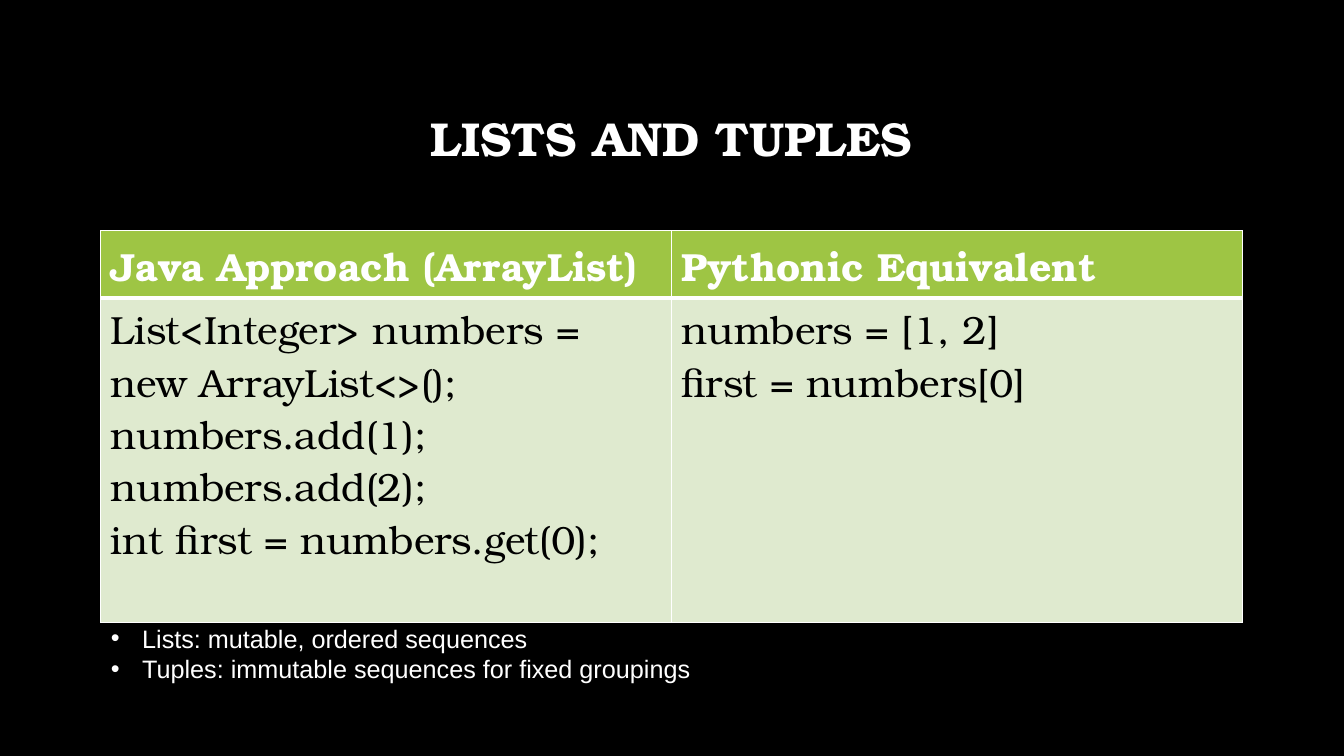
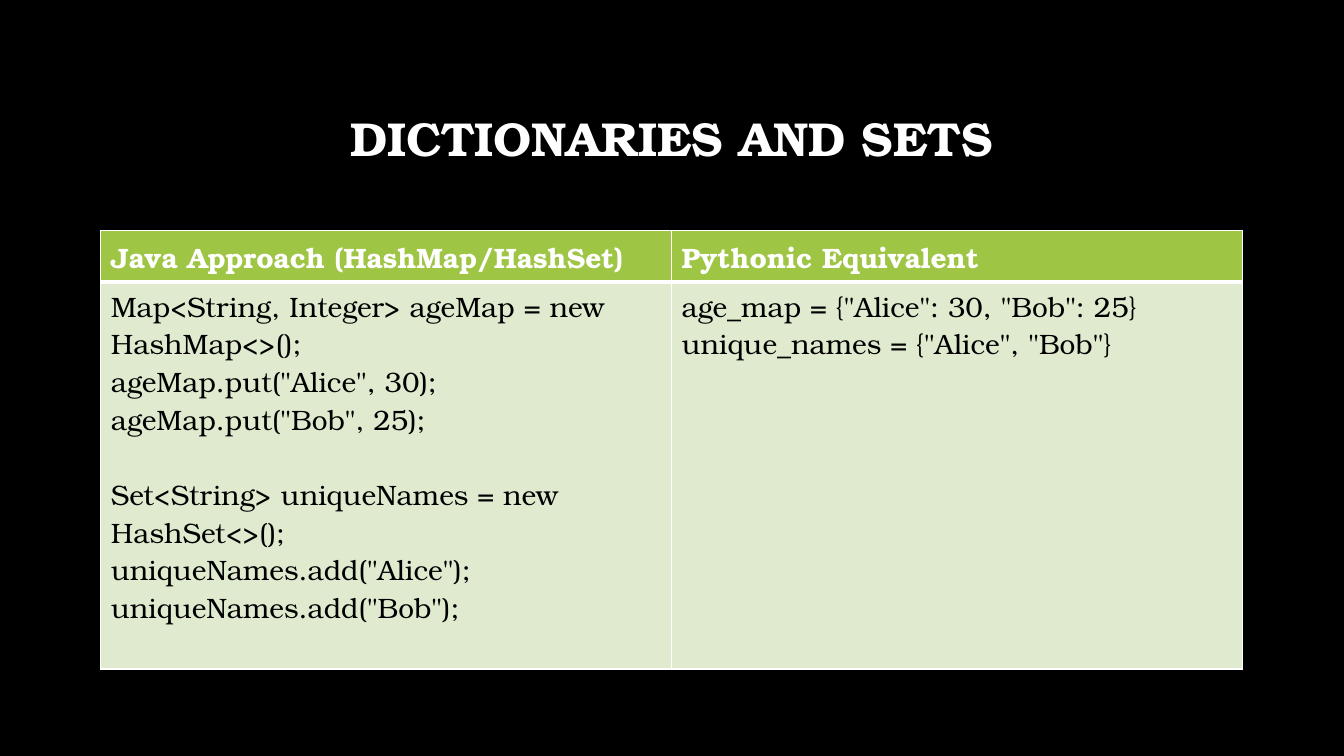
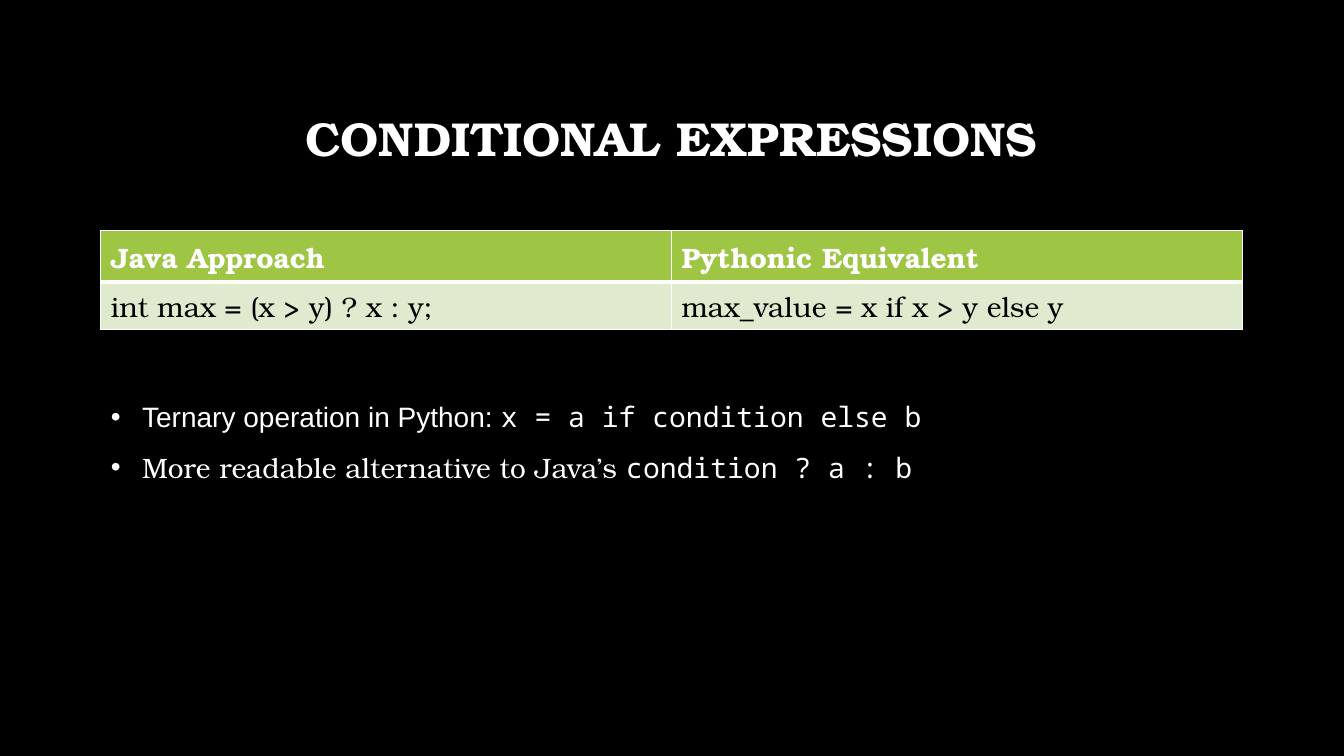
from dataclasses import dataclass

from lxml import etree
from pptx import Presentation
from pptx.dml.color import RGBColor
from pptx.enum.text import MSO_ANCHOR, MSO_AUTO_SIZE, PP_ALIGN
from pptx.oxml.ns import qn
from pptx.util import Inches, Pt

CENTER = PP_ALIGN.CENTER
MIDDLE, TOP = MSO_ANCHOR.MIDDLE, MSO_ANCHOR.TOP
NO_FIT = MSO_AUTO_SIZE.NONE
TITLE_AND_BODY, TITLE_ONLY = 1, 5


@dataclass(frozen=True)
class Theme:
    background: str = "000000"
    light: str = "FFFFFF"
    dark: str = "000000"
    header_fill: str = "9EC544"
    body_fill: str = "DFEACF"
    serif: str = "TeX Gyre Bonum"
    sans: str = "Arial"
    mono: str = "Noto Sans Mono"
    title_size: int = 34
    thin: int = 1
    thick: int = 3


THEME = Theme()

# Shared layout, in inches
LEFT, WIDTH = 1, 11.32
TITLE_BOX = (LEFT, 0.67, WIDTH, 1.45)
TABLE_TOP = 2.29
BULLET_INDENT = 0.31

# Content: a line in "lines" is one paragraph, \v breaks a line within it;
# "gap_before" is the index of the left paragraph that starts a new group
SLIDES = [
    {
        "title": "LISTS AND TUPLES",
        "headers": ["Java Approach (ArrayList)", "Pythonic Equivalent"],
        "lines": [
            ["List<Integer> numbers =\vnew ArrayList<>();", "numbers.add(1);",
             "numbers.add(2);", "int first = numbers.get(0);"],
            ["numbers = [1, 2]", "first = numbers[0]"],
        ],
        "code_size": 28,
        "row_heights": (0.66, 3.22),
        "notes": {
            "box": (LEFT, 6.13, 6.67, 0.71),
            "size": 18,
            "line_spacing": 1.0,
            "bullets": [
                [("Lists: mutable, ordered sequences", THEME.sans)],
                [("Tuples: immutable sequences for fixed groupings", THEME.sans)],
            ],
        },
    },
    {
        "title": "DICTIONARIES AND SETS",
        "headers": ["Java Approach (HashMap/HashSet)", "Pythonic Equivalent"],
        "lines": [
            ["Map<String, Integer> ageMap = new HashMap<>();",
             'ageMap.put("Alice", 30);', 'ageMap.put("Bob", 25);',
             "Set<String> uniqueNames = new HashSet<>();",
             'uniqueNames.add("Alice");', 'uniqueNames.add("Bob");'],
            ['age_map = {"Alice": 30, "Bob": 25}',
             'unique_names = {"Alice", "Bob"}'],
        ],
        "gap_before": 3,
        "code_size": 20,
        "row_heights": (0.5, 3.84),
    },
    {
        "title": "CONDITIONAL EXPRESSIONS",
        "headers": ["Java Approach", "Pythonic Equivalent"],
        "lines": [["int max = (x > y) ? x : y;"],
                  ["max_value = x if x > y else y"]],
        "code_size": 20,
        "row_heights": (0.5, 0.47),
        "notes": {
            "box": (LEFT, 3.75, 9.19, 1.05),
            "size": 20,
            "line_spacing": 1.5,
            "bullets": [
                [("Ternary operation in Python: ", THEME.sans),
                 ("x = a if condition else b", THEME.mono)],
                [("More readable alternative to Java’s ", THEME.serif),
                 ("condition ? a : b", THEME.mono)],
            ],
        },
    },
]


def apply(target, **values):
    for name, value in values.items():
        setattr(target, name, value)


def place(shape, box):
    apply(shape, **dict(zip(("left", "top", "width", "height"), map(Inches, box))))


def style_font(font, face, size, color, bold=False):
    apply(font, name=face, size=Pt(size), bold=bold)
    font.color.rgb = RGBColor.from_string(color)


def set_borders(cell, **widths):
    properties = cell._tc.get_or_add_tcPr()
    for side, width in widths.items():
        line = etree.SubElement(properties, qn(f"a:ln{side}"), w=str(Pt(width)))
        fill = etree.SubElement(line, qn("a:solidFill"))
        etree.SubElement(fill, qn("a:srgbClr"), val=THEME.light)


def add_title(slide, text):
    title = slide.shapes.title
    frame = title.text_frame
    frame.text = text
    apply(frame, vertical_anchor=MIDDLE, word_wrap=True, auto_size=NO_FIT)
    paragraph = frame.paragraphs[0]
    apply(paragraph, alignment=CENTER, line_spacing=0.9)
    style_font(paragraph.runs[0].font, THEME.serif, THEME.title_size, THEME.light, True)


def fill_cell(cell, lines, size, is_header):
    edge = THEME.thin if is_header else THEME.thick
    base = THEME.thick if is_header else THEME.thin
    set_borders(cell, L=THEME.thin, R=THEME.thin, T=edge, B=base)
    cell.fill.solid()
    cell.fill.fore_color.rgb = RGBColor.from_string(
        THEME.header_fill if is_header else THEME.body_fill)
    cell.text = "\n".join(lines)
    color = THEME.light if is_header else THEME.dark
    for paragraph in cell.text_frame.paragraphs:
        for run in paragraph.runs:
            style_font(run.font, THEME.serif, size, color, is_header)


def add_comparison(slide, content):
    heights, size = content["row_heights"], content["code_size"]
    columns = len(content["headers"])
    table = slide.shapes.add_table(
        len(heights), columns, Inches(LEFT), Inches(TABLE_TOP),
        Inches(WIDTH), Inches(sum(heights))).table
    table.horz_banding = False
    for row, height in zip(table.rows, heights):
        row.height = Inches(height)
    for column, (header, lines) in enumerate(zip(content["headers"], content["lines"])):
        fill_cell(table.cell(0, column), [header], size, True)
        fill_cell(table.cell(1, column), lines, size, False)
    if "gap_before" in content:
        group_start = table.cell(1, 0).text_frame.paragraphs[content["gap_before"]]
        group_start.space_before = Pt(27)


def add_notes(body, notes):
    place(body, notes["box"])
    frame = body.text_frame
    apply(frame, word_wrap=True, auto_size=NO_FIT, vertical_anchor=TOP)
    for index, bullet in enumerate(notes["bullets"]):
        paragraph = frame.add_paragraph() if index else frame.paragraphs[0]
        apply(paragraph, line_spacing=notes["line_spacing"],
              space_before=Pt(0), space_after=Pt(0))
        properties = paragraph._p.get_or_add_pPr()
        properties.set("marL", str(Inches(BULLET_INDENT)))
        properties.set("indent", str(-Inches(BULLET_INDENT)))
        for text, face in bullet:
            run = paragraph.add_run()
            run.text = text
            style_font(run.font, face, notes["size"], THEME.light)


def main():
    deck = Presentation()
    apply(deck, slide_width=Inches(13.33), slide_height=Inches(7.5))

    # Shared background and title position
    master = deck.slide_master
    master.background.fill.solid()
    master.background.fill.fore_color.rgb = RGBColor.from_string(THEME.background)
    place(master.placeholders[0], TITLE_BOX)

    for content in SLIDES:
        notes = content.get("notes")
        layout = deck.slide_layouts[TITLE_AND_BODY if notes else TITLE_ONLY]
        slide = deck.slides.add_slide(layout)
        add_title(slide, content["title"])
        add_comparison(slide, content)
        if notes:
            add_notes(slide.placeholders[1], notes)

    deck.save("out.pptx")


if __name__ == "__main__":
    main()
